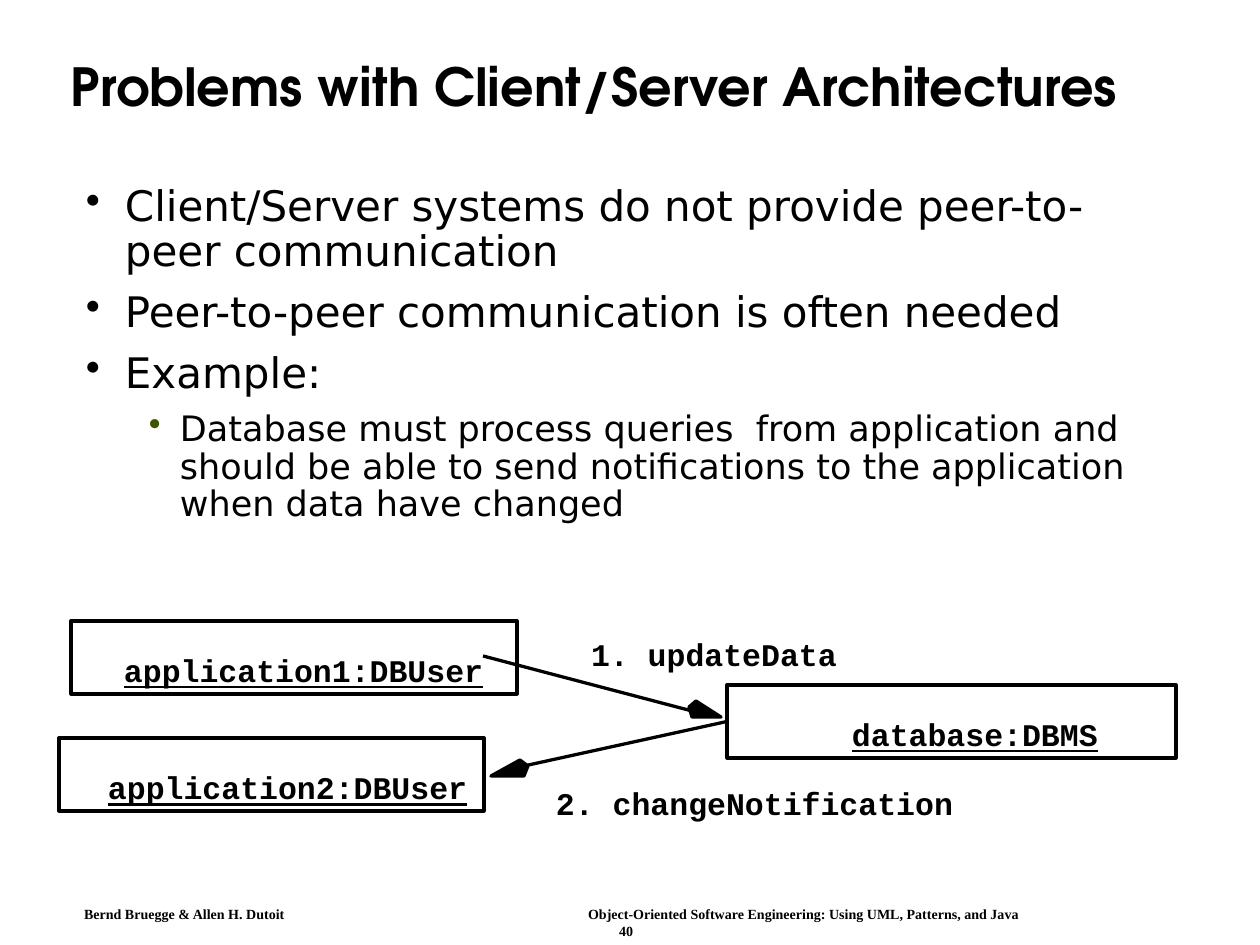
from dataclasses import dataclass
from lxml.etree import SubElement
from pptx import Presentation
from pptx.dml.color import RGBColor as RGB
from pptx.enum.shapes import MSO_CONNECTOR as LINE, MSO_SHAPE as SHAPE
from pptx.enum.text import MSO_ANCHOR as ANCHOR
from pptx.oxml.ns import qn
from pptx.util import Pt

SCALE = 914400 // 126


@dataclass(frozen=True)
class Theme:
    ink: RGB = RGB(0, 0, 0)
    dot: RGB = RGB(0x3D, 0x55, 0x00)
    head: str = "TeX Gyre Adventor"
    body: str = "DejaVu Sans"
    code: str = "Courier New"
    foot: str = "Times New Roman"
    title: int = 30
    main: int = 24
    sub: int = 20
    label: int = 18
    small: int = 8
    rule: float = 1.87


THEME = Theme()


def px(n):
    return n * SCALE


def style(par, face, size, bold=False, under=None):
    for run in par.runs:
        font = run.font
        font.name, font.size, font.bold = face, Pt(size), bold
        font.underline = under
        font.color.rgb = THEME.ink


def inset(frame, left, top, right, base):
    frame.margin_left, frame.margin_top = px(left), px(top)
    frame.margin_right, frame.margin_bottom = px(right), px(base)


def text(slide, box, words, pad=(0, 0), wrap=True):
    frame = slide.shapes.add_textbox(*map(px, box)).text_frame
    frame.word_wrap = wrap
    inset(frame, *pad, *pad)
    frame.text = words
    return frame


def title(slide, box, words):
    frame = text(slide, box, words, (13, 6))
    frame.vertical_anchor = ANCHOR.MIDDLE
    par = frame.paragraphs[0]
    par.line_spacing = 0.9
    style(par, THEME.head, THEME.title, True)


def bullet(par, left, hang, color):
    props = par._p.get_or_add_pPr()
    props.set("marL", str(px(left)))
    props.set("indent", str(-px(hang)))
    fill = SubElement(props, qn("a:buClr"))
    SubElement(fill, qn("a:srgbClr")).set("val", str(color))
    SubElement(props, qn("a:buChar")).set("char", "•")


def points(slide, box, items):
    frame = text(slide, box, "\n".join(words for _, words in items), (13, 6))
    looks = [(39, 39, THEME.ink, THEME.main, 9),
             (94, 31, THEME.dot, THEME.sub, 7.5)]
    for n, (par, (level, _)) in enumerate(zip(frame.paragraphs, items)):
        left, hang, color, size, gap = looks[level]
        bullet(par, left, hang, color)
        par.level = level
        par.line_spacing = 0.9
        if n:
            par.space_before = Pt(gap)
        style(par, THEME.body, size)


def ink(line):
    line.color.rgb = THEME.ink
    line.width = Pt(THEME.rule)


def node(slide, box, words, left):
    rect = slide.shapes.add_shape(SHAPE.RECTANGLE, *map(px, box))
    rect.shadow.inherit = False
    rect.fill.background()
    ink(rect.line)
    frame = rect.text_frame
    frame.word_wrap = True
    frame.vertical_anchor = ANCHOR.TOP
    inset(frame, left, 30, 0, 0)
    frame.text = words
    par = frame.paragraphs[0]
    par.alignment = 1
    style(par, THEME.code, THEME.label, True, True)
    return rect


def arrow(slide, start, end, tip):
    line = slide.shapes.add_connector(LINE.STRAIGHT, *map(px, start + end))
    SubElement(line._element.spPr, qn("a:effectLst"))
    ink(line.line)
    path = slide.shapes.build_freeform(*tip[0], scale=SCALE)
    path.add_line_segments(tip[1:], close=True)
    head = path.convert_to_shape()
    head.shadow.inherit = False
    head.fill.solid()
    head.fill.fore_color.rgb = THEME.ink
    ink(head.line)
    return line


def diagram(slide, box):
    x, y, _, _ = box

    def at(left, top):
        return x + left, y + top

    node(slide, (*at(12, 0), 446, 73), "application1:DBUser", 53)
    node(slide, (*at(0, 117), 425, 73), "application2:DBUser", 49)
    store = node(slide, (*at(668, 64), 449, 73), "database:DBMS", 125)

    arrow(slide, at(424, 35), at(633, 90),
          [at(630, 86), at(637, 80), at(662, 96), at(633, 96)])
    reply = arrow(slide, at(668, 101), at(465, 145),
                  [at(469, 145), at(465, 155), at(432, 155), at(461, 139)])
    reply.begin_connect(store, 1)

    for left, top, wide, words in [(532, 14, 246, "1. updateData"),
                                   (497, 163, 397, "2. changeNotification")]:
        frame = text(slide, (*at(left, top), wide, 38), words, wrap=False)
        style(frame.paragraphs[0], THEME.code, THEME.label, True)


def footer(slide, box, lines):
    words = "\n".join(line for line, _ in lines)
    frame = text(slide, box, words, (10, 5))
    for par, (_, stop) in zip(frame.paragraphs, lines):
        tabs = SubElement(par._p.get_or_add_pPr(), qn("a:tabLst"))
        tab = SubElement(tabs, qn("a:tab"))
        tab.set("pos", str(px(stop)))
        tab.set("algn", "l")
        style(par, THEME.foot, THEME.small, True)


def main():
    deck = Presentation()
    deck.slide_width, deck.slide_height = px(1260), px(945)
    slide = deck.slides.add_slide(deck.slide_layouts[6])
    title(slide, (58, 30, 1124, 118),
          "Problems with Client/Server Architectures")
    points(slide, (73, 179, 1102, 420), [
        (0, "Client/Server systems do not provide peer-to-peer communication"),
        (0, "Peer-to-peer communication is often needed"),
        (0, "Example:"),
        (1, "Database must process queries  from application and should be "
            "able to send notifications to the application when data have "
            "changed"),
    ])
    diagram(slide, (59, 621, 1117, 201))
    footer(slide, (74, 901, 1090, 42), [
        ("Bernd Bruegge & Allen H. Dutoit\tObject-Oriented Software "
         "Engineering: Using UML, Patterns, and Java", 504),
        ("\t40", 535),
    ])
    deck.save("out.pptx")


if __name__ == "__main__":
    main()
